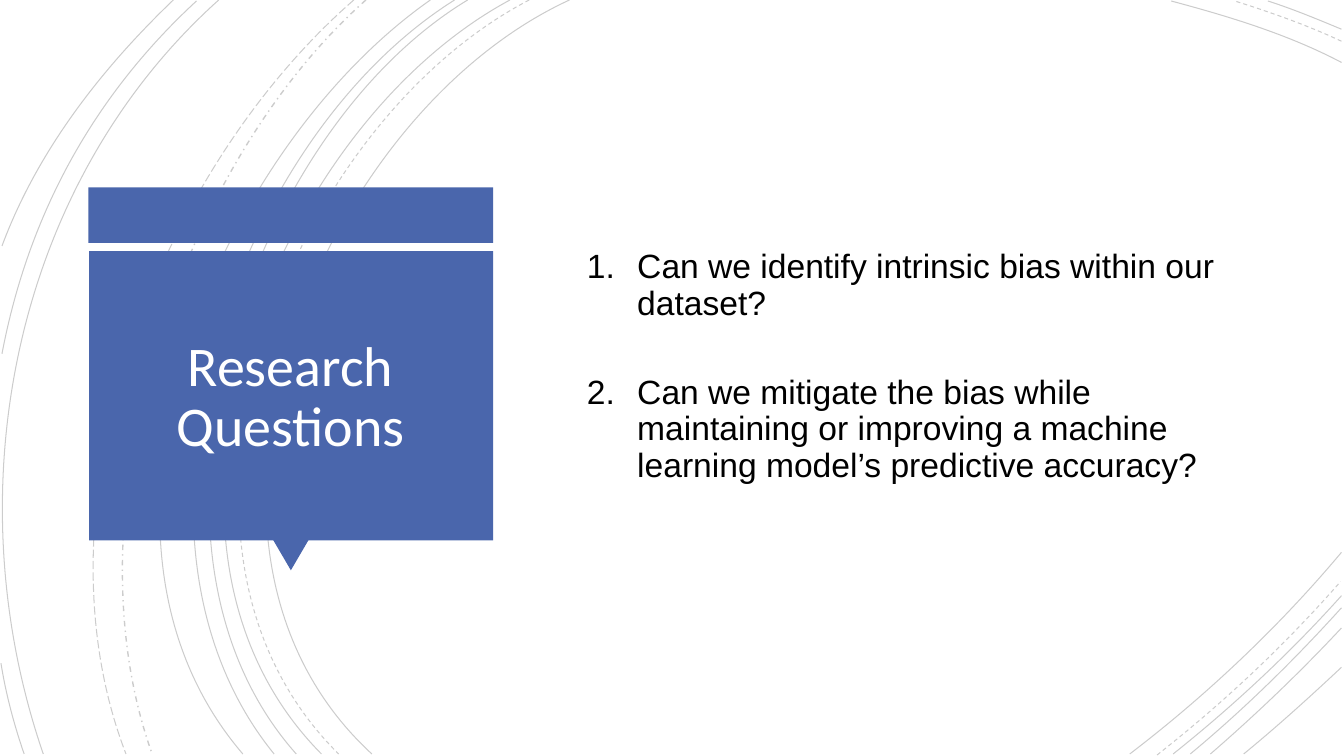
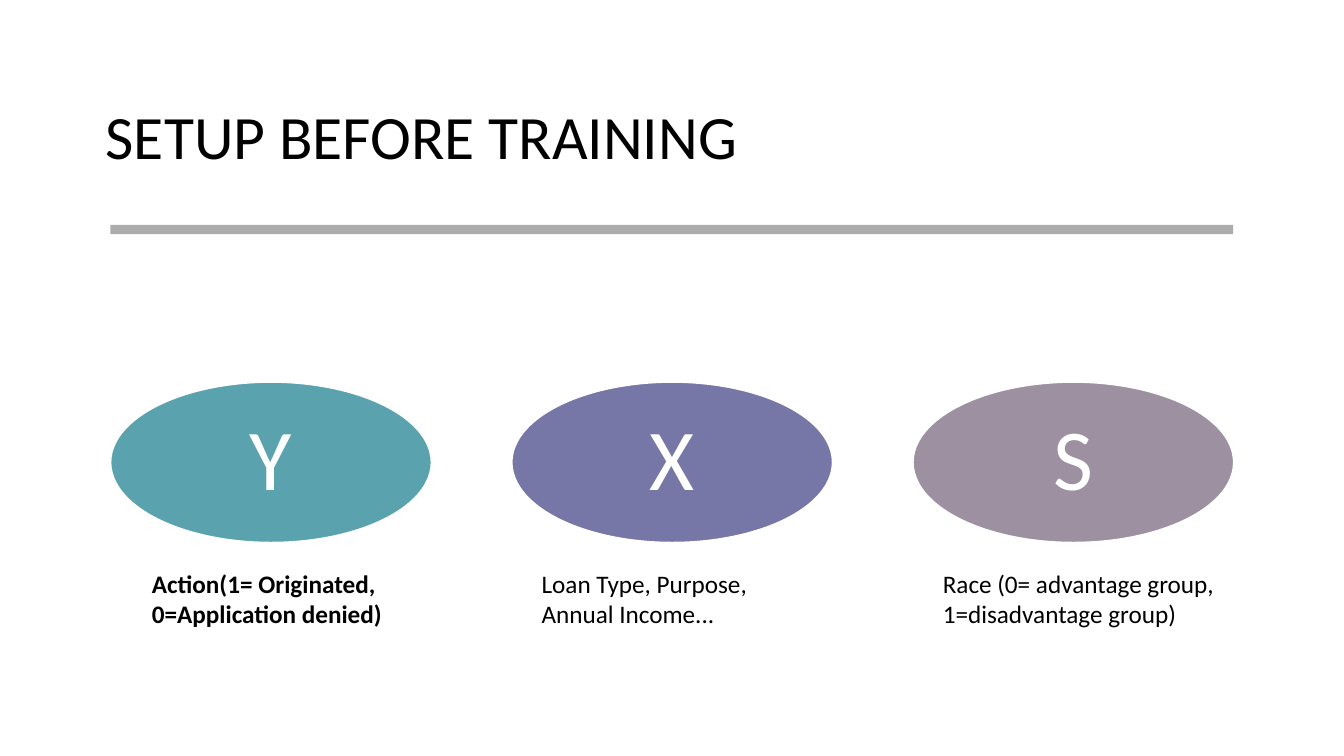
from pptx import Presentation
from pptx.dml.color import RGBColor
from pptx.enum.dml import MSO_LINE_DASH_STYLE as DASH
from pptx.enum.shapes import MSO_SHAPE as SHAPE
from pptx.enum.text import MSO_ANCHOR as ANCHOR, MSO_AUTO_SIZE as AUTO_SIZE, PP_ALIGN as ALIGN
from pptx.oxml.ns import qn
from pptx.util import Cm, Pt
from lxml.etree import SubElement

BLACK, WHITE, BLUE, GREY = "000000", "FFFFFF", "4A66AC", "808080"
TITLE_ONLY = 5
INCH = 2.54  # centimetres


def paint(fill, color, shape=None, opacity=100):
    """Fill with a solid colour; a shape is needed only for transparency."""
    fill.solid()
    fill.fore_color.rgb = RGBColor.from_string(color)
    if shape is not None:
        for node in shape.element.iter(qn("a:srgbClr")):
            SubElement(node, qn("a:alpha")).set("val", str(opacity * 1000))


def write(shape, lines, size, color=BLACK, font="Calibri", align=ALIGN.LEFT,
          anchor=ANCHOR.MIDDLE, spacing=0.9, bold=False):
    """Put lines of text in a shape, all in one style."""
    frame = shape.text_frame
    frame.text = "\n".join(lines)
    frame.word_wrap = True
    frame.auto_size = AUTO_SIZE.NONE
    frame.vertical_anchor = anchor
    for para in frame.paragraphs:
        para.alignment = align
        para.line_spacing = spacing
        for span in para.runs:
            span.font.name, span.font.size, span.font.bold = font, Pt(size), bold
            paint(span.font.fill, color)


deck = Presentation()
deck.slide_width, deck.slide_height = Cm(33.87), Cm(19.05)

# Slide 1: research questions
page = deck.slides.add_slide(deck.slide_layouts[TITLE_ONLY])

# Background curves: start, two control points and end, in inches
curves = [
    (DASH.SOLID, 0.75, [
        (5.65, 0, 3.15, 1.15, 1.43, 5.4, 3.69, 7.48),
        (13.31, 0.62, 12.78, 0.34, 12.18, 0.16, 11.62, 0.01),
        (11.21, 7.48, 11.97, 6.9, 12.69, 6.22, 13.31, 5.48),
    ]),
    (DASH.DASH, 0.75, [
        (5.25, 0, 2.85, 1.25, 1.23, 5.37, 3.36, 7.48),
        (13.31, 0.41, 12.97, 0.25, 12.6, 0.12, 12.25, 0.01),
        (11.48, 7.49, 12.13, 6.98, 12.75, 6.4, 13.3, 5.77),
    ]),
    (DASH.SOLID, 0.75, [
        (5.06, 0, 2.7, 1.27, 1.1, 5.37, 3.19, 7.48),
        (13.31, 0.29, 13.07, 0.19, 12.83, 0.09, 12.58, 0.01),
        (11.64, 7.48, 12.23, 7.01, 12.8, 6.48, 13.31, 5.91),
        (4.64, 0, 2.44, 1.33, 1.1, 5.41, 2.94, 7.48),
        (11.81, 7.48, 12.34, 7.04, 12.84, 6.55, 13.31, 6.03),
        (4.51, 0, 2.31, 1.38, 0.97, 5.33, 2.72, 7.48),
        (12.01, 7.48, 12.46, 7.09, 12.9, 6.67, 13.31, 6.23),
        (4.27, 0, 2.17, 1.47, 0.53, 5.29, 2.41, 7.48),
        (12.34, 7.48, 12.67, 7.21, 12.99, 6.92, 13.31, 6.62),
    ]),
    (DASH.DASH_DOT, 1, [(3.63, 0, 1.76, 1.66, 0.65, 5.09, 1.51, 7.48)]),
    (DASH.LONG_DASH, 0.75, [(3.51, 0, 1.57, 1.69, 0.29, 4.99, 1.25, 7.48)]),
    (DASH.SOLID, 0.75, [
        (2.17, 0, 0.11, 1.85, -0.46, 4.9, 0.43, 7.48),
        (1.95, 0.01, 0.92, 0.96, 0.28, 2.14, 0.02, 3.51),
        (0.01, 6.58, 0.06, 6.89, 0.14, 7.19, 0.24, 7.48),
        (1.72, 0, 1, 0.69, 0.37, 1.5, 0.02, 2.44),
    ]),
]
for dash, width, group in curves:
    for curve in group:
        start, *points = [(Cm(x * INCH), Cm(y * INCH))
                          for x, y in zip(curve[0::2], curve[1::2])]
        builder = page.shapes.build_freeform(*start)
        builder.add_line_segments(points, close=False)
        arc = builder.convert_to_shape()
        # Turn the three straight segments into one Bézier segment
        segments = list(arc.element.iter(qn("a:lnTo")))
        outline = segments[0].getparent()
        bezier = SubElement(outline, qn("a:cubicBezTo"))
        for segment in segments:
            bezier.append(segment[0])
            outline.remove(segment)
        arc.shadow.inherit = False
        arc.fill.background()
        arc.line.width = Pt(width)
        arc.line.dash_style = dash
        paint(arc.line.fill, BLACK, arc, 20)

# Blue title panel: band, pointer, main block
panel = [
    (SHAPE.RECTANGLE, 2.23, 4.72, 10.2, 1.4, 0),
    (SHAPE.ISOSCELES_TRIANGLE, 6.88, 13.6, 0.9, 0.77, 180),
    (SHAPE.RECTANGLE, 2.25, 6.33, 10.18, 7.29, 0),
]
for kind, left, top, width, height, turn in panel:
    box = page.shapes.add_shape(kind, Cm(left), Cm(top), Cm(width), Cm(height))
    box.rotation = turn
    box.shadow.inherit = False
    box.line.fill.background()
    paint(box.fill, BLUE)

# Title, brought in front of the panel
title = page.shapes.title
title.left, title.top, title.width, title.height = Cm(2.53), Cm(6.71), Cm(9.58), Cm(6.65)
write(title, ["Research Questions"], 40, WHITE, align=ALIGN.CENTER)
title.element.getparent().append(title.element)

# Numbered questions
box = page.shapes.add_textbox(Cm(14.24), Cm(2.5), Cm(17.45), Cm(13.5))
write(box, [
    "Can we identify intrinsic bias within our dataset?",
    "Can we mitigate the bias while maintaining or improving a machine "
    "learning model’s predictive accuracy?",
], 24, font="Arial")
for para, gap in zip(box.text_frame.paragraphs, (38, 6)):
    para.space_after = Pt(gap)
    properties = para._p.get_or_add_pPr()
    properties.set("marL", str(Cm(1.57)))
    properties.set("indent", str(-Cm(1.27)))
    SubElement(properties, qn("a:buFont")).set("typeface", "Arial")
    SubElement(properties, qn("a:buAutoNum")).set("type", "arabicPeriod")

# Slide 2: setup before training
page = deck.slides.add_slide(deck.slide_layouts[TITLE_ONLY])
title = page.shapes.title
title.left, title.top, title.width, title.height = Cm(2.41), Cm(1.68), Cm(29.03), Cm(3.68)
write(title, ["SETUP BEFORE TRAINING"], 44)

# Rule under the title
rule = page.shapes.add_shape(SHAPE.RECTANGLE, Cm(2.78), Cm(5.67), Cm(28.3), Cm(0.23))
rule.shadow.inherit = False
rule.line.fill.background()
paint(rule.fill, GREY, rule, 65)

# Variables: an ellipse with a caption below
variables = [
    ("Y", "5AA2AE", "Action(1= Originated, 0=Application denied)", 3.58, 8.2, True),
    ("X", "7677A6", "Loan Type, Purpose, Annual Income...", 13.4, 7.62, False),
    ("S", "9D90A0", "Race (0= advantage group, 1=disadvantage group)", 23.51, 7.62, False),
]
for index, (letter, color, caption, left, width, bold) in enumerate(variables):
    oval = page.shapes.add_shape(
        SHAPE.OVAL, Cm(2.79 + 10.11 * index), Cm(9.63), Cm(8.08), Cm(4.04))
    oval.shadow.inherit = False
    paint(oval.fill, color)
    paint(oval.line.fill, WHITE)
    oval.line.width = Pt(1)
    write(oval, [letter], 62, WHITE, align=ALIGN.CENTER)
    box = page.shapes.add_textbox(Cm(left), Cm(14.2), Cm(width), Cm(1.8))
    write(box, [caption], 18, anchor=ANCHOR.TOP, spacing=1.0, bold=bold)

deck.save("out.pptx")
